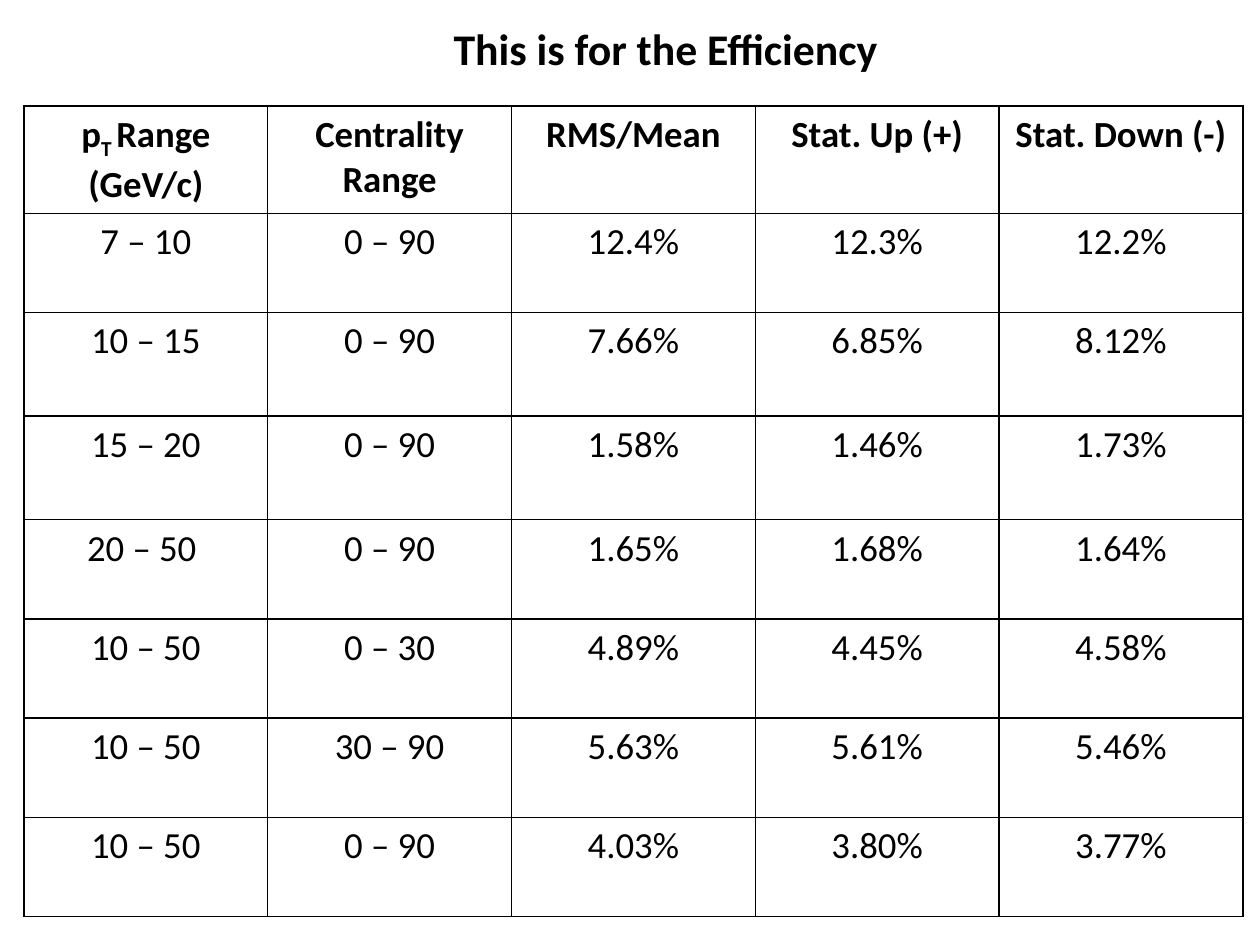
"""Build a slide with a table of efficiency uncertainties by pT and centrality range."""
import pptx
import pptx.dml.color
import pptx.enum.text
import pptx.oxml
import pptx.oxml.ns
import pptx.util

Pt = pptx.util.Pt
BLACK = pptx.dml.color.RGBColor(0, 0, 0)
THEME = {"font": "Calibri", "text": BLACK, "border": "000000", "title": 25, "body": 21}
CENTER = pptx.enum.text.PP_ALIGN.CENTER
SUBSCRIPT = "-25000"

HEADER = [
    [("p", None), ("T ", SUBSCRIPT), ("Range (GeV/c)", None)],
    [("Centrality Range", None)],
    [("RMS/Mean", None)],
    [("Stat. Up (+)", None)],
    [("Stat. Down (-)", None)],
]
ROWS = [
    ("7 – 10", "0 – 90", "12.4%", "12.3%", "12.2%"),
    ("10 – 15", "0 – 90", "7.66%", "6.85%", "8.12%"),
    ("15 – 20", "0 – 90", "1.58%", "1.46%", "1.73%"),
    ("20 – 50 ", "0 – 90", "1.65%", "1.68%", "1.64%"),
    ("10 – 50", "0 – 30", "4.89%", "4.45%", "4.58%"),
    ("10 – 50", "30 – 90", "5.63%", "5.61%", "5.46%"),
    ("10 – 50", "0 – 90", "4.03%", "3.80%", "3.77%"),
]
ROW_HEIGHTS = [61.2, 56.7, 59.2, 59.2, 56.7, 56.7, 56.7, 56.7]
COLUMN_WIDTH = 139.3


def add_run(p, text, size, bold, baseline=None):
    r = p.add_run()
    r.text = text
    for name, value in {"name": THEME["font"], "size": Pt(size), "bold": bold}.items():
        setattr(r.font, name, value)
    r.font.color.rgb = THEME["text"]
    if baseline:
        r.font._element.set("baseline", baseline)


def add_borders(cell):
    tcPr = cell._tc.get_or_add_tcPr()
    for position, side in enumerate(("lnL", "lnR", "lnT", "lnB")):
        tcPr.insert(position, pptx.oxml.parse_xml(
            f'<a:{side} {pptx.oxml.ns.nsdecls("a")} w="{Pt(1)}"><a:solidFill>'
            f'<a:srgbClr val="{THEME["border"]}"/></a:solidFill></a:{side}>'))


prs = pptx.Presentation()
prs.slide_width, prs.slide_height = Pt(720), Pt(540)
s = prs.slides.add_slide(prs.slide_layouts[5])

title = s.shapes.title
for name, value in {"left": 252, "top": 8.6, "width": 260.6, "height": 37.4}.items():
    setattr(title, name, Pt(value))
tf = title.text_frame
frame_format = {
    "word_wrap": False,
    "auto_size": pptx.enum.text.MSO_AUTO_SIZE.SHAPE_TO_FIT_TEXT,
    "vertical_anchor": pptx.enum.text.MSO_ANCHOR.TOP,
}
for name, value in frame_format.items():
    setattr(tf, name, value)
tf.paragraphs[0].alignment = pptx.enum.text.PP_ALIGN.LEFT
add_run(tf.paragraphs[0], "This is for the Efficiency", THEME["title"], True)

grid = [HEADER] + [[[(text, None)] for text in row] for row in ROWS]
table = s.shapes.add_table(
    len(grid), len(HEADER), Pt(13.7), Pt(60.7),
    Pt(COLUMN_WIDTH * len(HEADER)), Pt(sum(ROW_HEIGHTS))).table
table.first_row = table.horz_banding = False
for column in table.columns:
    column.width = Pt(COLUMN_WIDTH)

for i, (row, height) in enumerate(zip(grid, ROW_HEIGHTS)):
    table.rows[i].height = Pt(height)
    for j, runs in enumerate(row):
        cell = table.cell(i, j)
        cell.fill.background()
        add_borders(cell)
        p = cell.text_frame.paragraphs[0]
        p.alignment = CENTER
        for text, baseline in runs:
            add_run(p, text, THEME["body"], i == 0, baseline)

prs.save("out.pptx")
